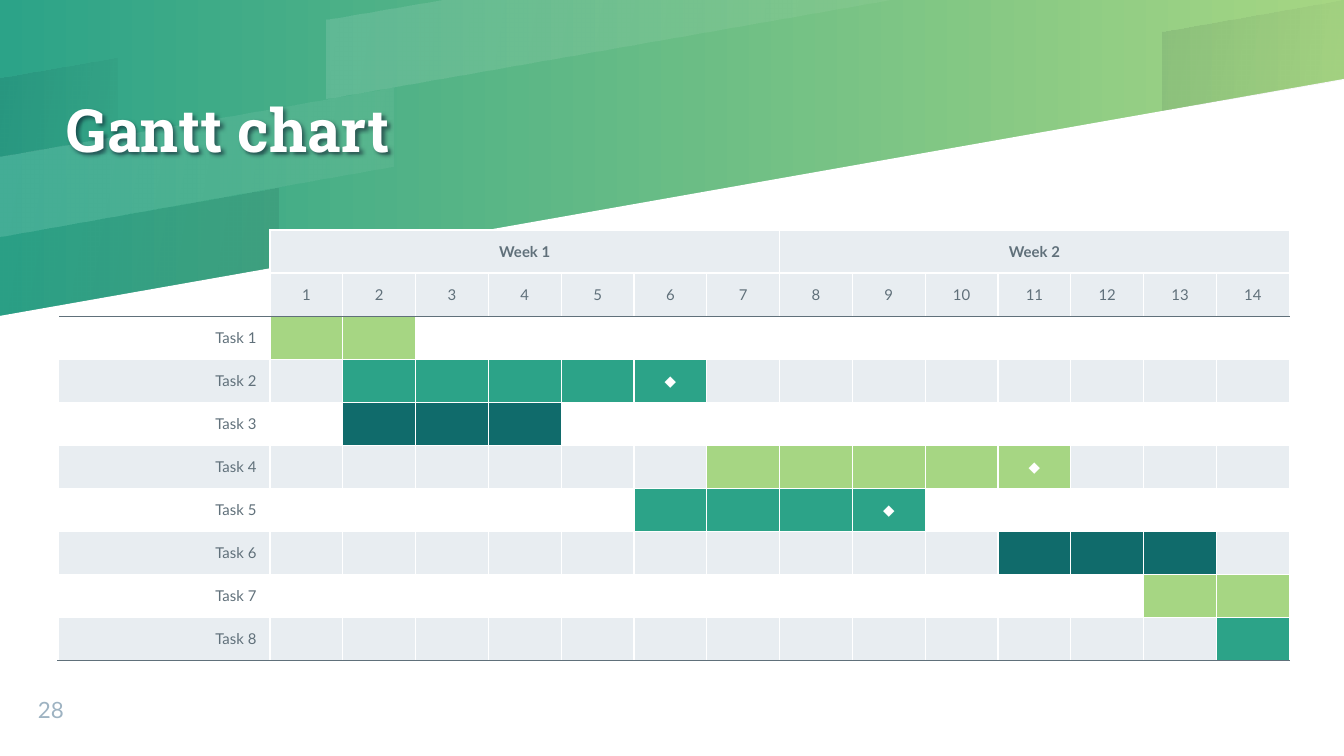
from lxml.etree import SubElement
from pptx import Presentation
from pptx.dml.color import RGBColor
from pptx.enum.text import MSO_ANCHOR as Anchor, MSO_AUTO_SIZE as AutoSize, PP_ALIGN as Align
from pptx.oxml.ns import qn
from pptx.util import Pt

SCALE = 9144000 / 1344
WHITE = RGBColor(0xFF, 0xFF, 0xFF)
SHADE = RGBColor(0x00, 0x00, 0x1A)
GREEN = RGBColor(0x2C, 0xA3, 0x88)
LIME = RGBColor(0xA6, 0xD6, 0x83)
TEAL = RGBColor(0x10, 0x6B, 0x6B)
PALE = RGBColor(0xE8, 0xED, 0xF1)
SLATE = RGBColor(0x60, 0x70, 0x7A)
MIST = RGBColor(0x9E, 0xB3, 0xC2)

NO_TABLE_STYLE = "{2D5ABB26-0587-4C30-8999-92F81FD0307C}"
DAYS = 14
WEEK_DAYS = 7
HEADER_ROWS = 2
MILESTONE = "◆"

PANEL = [(0, 756), (1344, 756), (1344, 79), (0, 316)]
BANDS = [
    ([(446, 0), (327, 20), (327, 99), (894, 0)], WHITE, (12, 5)),
    ([(0, 78), (0, 157), (117, 137), (117, 58)], SHADE, (8, 2)),
    ([(0, 237), (0, 316), (278, 267), (278, 188)], SHADE, (2, 8)),
    ([(1344, 0), (1163, 32), (1163, 110), (1344, 79)], SHADE, (8, 2)),
    ([(0, 157), (0, 237), (394, 167), (394, 88)], WHITE, (12, 5)),
]
TASKS = [
    (LIME, 1, 2, None),
    (GREEN, 2, 6, 6),
    (TEAL, 2, 4, None),
    (LIME, 7, 11, 11),
    (GREEN, 6, 9, 9),
    (TEAL, 11, 13, None),
    (LIME, 13, 14, None),
    (GREEN, 14, 14, None),
]


def px(length):
    return round(length * SCALE)


def write(frame, text, size=8, font="Lato", color=SLATE, bold=False,
          align=Align.LEFT, spacing=None):
    paragraph = frame.paragraphs[0]
    paragraph.alignment = align
    paragraph.line_spacing = spacing
    if not text:
        SubElement(paragraph._p, qn("a:endParaRPr"), sz=str(size * 100))
        return
    run = paragraph.add_run()
    run.text = text
    run.font.size = Pt(size)
    run.font.name = font
    run.font.bold = bold
    run.font.color.rgb = color


def set_frame(frame, anchor):
    frame.margin_left = frame.margin_right = frame.margin_top = frame.margin_bottom = 0
    frame.word_wrap = True
    frame.auto_size = AutoSize.NONE
    frame.vertical_anchor = anchor


def set_gradient(fill, colors, angle):
    fill.gradient()
    fill.gradient_angle = angle
    for stop, color in zip(fill.gradient_stops, colors):
        stop.color.rgb = color


def add_polygon(slide, points):
    builder = slide.shapes.build_freeform(*points[0], scale=SCALE)
    builder.add_line_segments(points[1:], close=True)
    polygon = builder.convert_to_shape()
    polygon.shadow.inherit = False
    polygon.line.fill.background()
    return polygon


def add_backdrop(slide):
    set_gradient(slide.background.fill, (GREEN, LIME), 0)
    panel = add_polygon(slide, PANEL)
    panel.fill.solid()
    panel.fill.fore_color.rgb = WHITE
    for points, color, opacities in BANDS:
        band = add_polygon(slide, points)
        set_gradient(band.fill, (color, color), 350)
        stops = band._element.spPr.iter(qn("a:srgbClr"))
        for stop, opacity in zip(stops, opacities):
            SubElement(stop, qn("a:alpha"), val=str(opacity * 1000))


def add_title(slide, text):
    title = slide.shapes.title
    title.left, title.top, title.width, title.height = px(67), px(0), px(806), px(266)
    set_frame(title.text_frame, Anchor.MIDDLE)
    write(title.text_frame, text, size=32, font="Roboto Slab", color=WHITE,
          bold=True, spacing=0.9)
    effects = SubElement(title._element.spPr, qn("a:effectLst"))
    shadow = SubElement(effects, qn("a:outerShdw"), blurRad="28575", dist="19050",
                        dir="2700000", algn="bl", rotWithShape="0")
    shade = SubElement(shadow, qn("a:srgbClr"), val=str(SHADE))
    SubElement(shade, qn("a:alpha"), val="50000")
    slide.shapes._spTree.append(title._element)


def add_page_number(slide, number):
    box = slide.shapes.add_textbox(px(38), px(687), px(71), px(36))
    set_frame(box.text_frame, Anchor.BOTTOM)
    write(box.text_frame, number, size=12, color=MIST)


def set_borders(cell, colors):
    properties = cell._tc.get_or_add_tcPr()
    for index, side in enumerate("LRTB"):
        color = colors.get(side)
        line = SubElement(properties, qn(f"a:ln{side}"), w=str(Pt(0.75)))
        if color is None:
            SubElement(line, qn("a:noFill"))
        else:
            fill = SubElement(line, qn("a:solidFill"))
            SubElement(fill, qn("a:srgbClr"), val=str(color))
        properties.insert(index, line)


def border_colors(row, column, last_row):
    if column == 0 and row < HEADER_ROWS:
        colors = {"R": WHITE}
    else:
        colors = dict.fromkeys("LRTB", WHITE)
    if row in (HEADER_ROWS - 1, last_row):
        colors["B"] = SLATE
    if row == HEADER_ROWS:
        colors["T"] = SLATE
    return colors


def cell_content(row, column):
    if row < HEADER_ROWS:
        if column == 0:
            return "", None
        if row == 1:
            return str(column), PALE
        week, day = divmod(column - 1, WEEK_DAYS)
        return f"Week {week + 1}" if day == 0 else "", PALE
    number = row - HEADER_ROWS + 1
    color, start, end, milestone = TASKS[number - 1]
    if column == 0:
        text = f"Task {number}"
    else:
        text = MILESTONE if column == milestone else ""
    stripe = PALE if number % 2 == 0 else None
    return text, color if start <= column <= end else stripe


def fill_cell(cell, row, column, last_row):
    text, color = cell_content(row, column)
    cell.vertical_anchor = Anchor.MIDDLE
    write(cell.text_frame, text, bold=row == 0,
          color=WHITE if text == MILESTONE else SLATE,
          align=Align.CENTER if column else Align.RIGHT)
    if color is None:
        cell.fill.background()
    else:
        cell.fill.solid()
        cell.fill.fore_color.rgb = color
    set_borders(cell, border_colors(row, column, last_row))


def add_gantt(slide):
    row_count = HEADER_ROWS + len(TASKS)
    frame = slide.shapes.add_table(row_count, DAYS + 1, px(58), px(230), px(1232), px(431))
    gantt = frame.table
    gantt._tbl.tblPr.find(qn("a:tableStyleId")).text = NO_TABLE_STYLE
    gantt.first_row = gantt.horz_banding = False
    for column, grid_column in enumerate(gantt.columns):
        grid_column.width = px(1020 / DAYS) if column else px(212)
    for row, grid_row in enumerate(gantt.rows):
        grid_row.height = px(431 / row_count)
        for column in range(DAYS + 1):
            fill_cell(gantt.cell(row, column), row, column, row_count - 1)
    for first in range(1, DAYS + 1, WEEK_DAYS):
        gantt.cell(0, first).merge(gantt.cell(0, first + WEEK_DAYS - 1))


def main():
    deck = Presentation()
    deck.slide_width, deck.slide_height = px(1344), px(756)
    slide = deck.slides.add_slide(deck.slide_layouts[5])
    add_backdrop(slide)
    add_title(slide, "Gantt chart")
    add_page_number(slide, "28")
    add_gantt(slide)
    deck.save("out.pptx")


if __name__ == "__main__":
    main()
